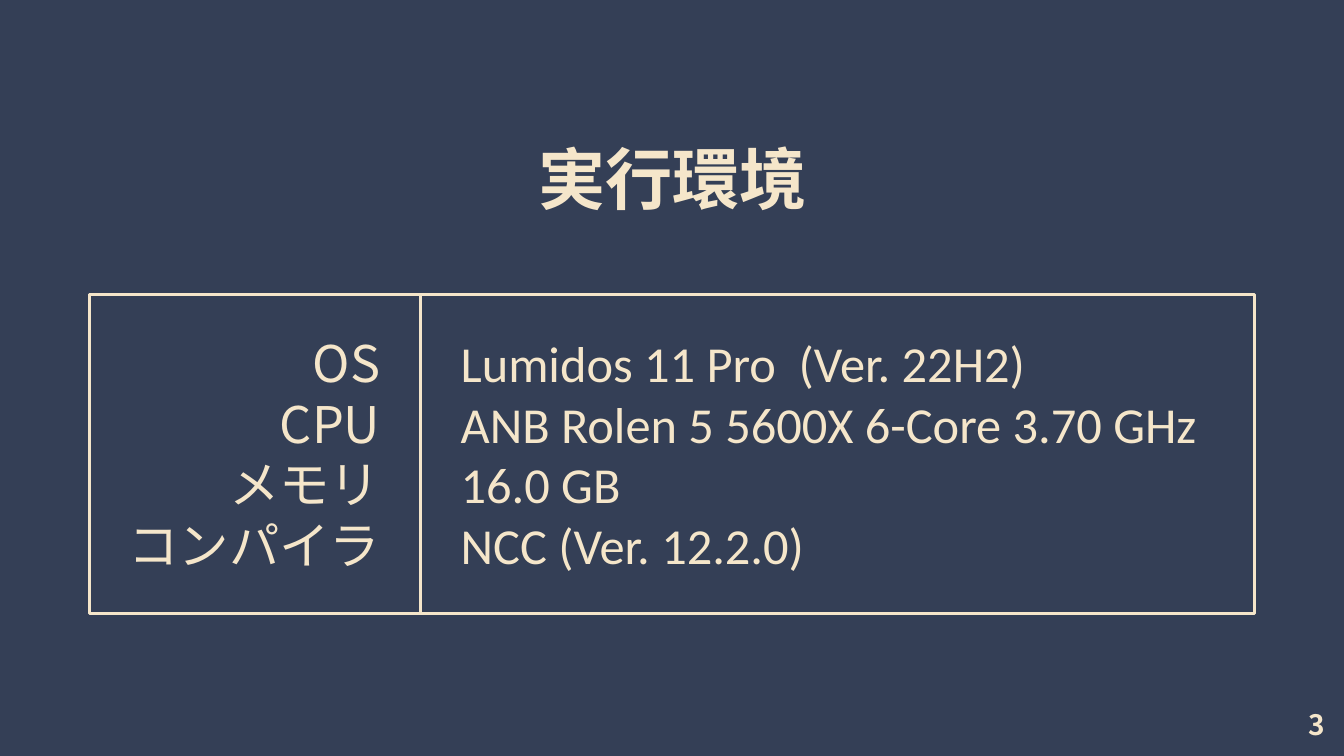
from pptx import Presentation
from pptx.dml.color import RGBColor
from pptx.enum import shapes, text
from pptx.util import Inches, Pt

NAVY = RGBColor(0x34, 0x3F, 0x56)
CREAM = RGBColor(0xF5, 0xE6, 0xCA)
JP_FONT = "Noto Sans CJK JP"
LATIN_FONT = "Calibri"
LINE_RATIO = 1.2

ENVIRONMENT = [
    ("OS", "Lumidos 11 Pro  (Ver. 22H2)"),
    ("CPU", "ANB Rolen 5 5600X 6-Core 3.70 GHz"),
    ("メモリ", "16.0 GB"),
    ("コンパイラ", "NCC (Ver. 12.2.0)"),
]


def add_text(parent, box, lines, size, font=JP_FONT, bold=False,
             align=text.PP_ALIGN.LEFT):
    """Add one paragraph per line, in a box of (left, top, width, height) inches."""
    tf = parent.add_textbox(*map(Inches, box)).text_frame
    tf.word_wrap = True
    for i, line in enumerate(lines):
        p = tf.paragraphs[0] if i == 0 else tf.add_paragraph()
        p.text = line
        p.alignment = align
        p.line_spacing = Pt(size * LINE_RATIO)
        p.font.name = font
        p.font.size = Pt(size)
        p.font.bold = bold
        p.font.color.rgb = CREAM
    return tf


def add_frame(parent, box):
    sp = parent.add_shape(shapes.MSO_SHAPE.RECTANGLE, *map(Inches, box))
    sp.shadow.inherit = False
    sp.fill.background()
    sp.line.color.rgb = CREAM
    sp.line.width = Pt(2.25)


def add_title(slide, box, title):
    tf = add_text(slide.shapes, box, [title], 48, bold=True,
                  align=text.PP_ALIGN.CENTER)
    tf.vertical_anchor = text.MSO_ANCHOR.BOTTOM
    tf.margin_bottom = 0
    tf.paragraphs[0].line_spacing = 0.9


def add_environment(slide, box, label_width):
    """Two framed columns: labels on the left, values on the right."""
    left, top, width, height = box
    divider = left + label_width
    labels, values = zip(*ENVIRONMENT)
    parts = slide.shapes.add_group_shape().shapes
    add_frame(parts, (left, top, label_width, height))
    add_frame(parts, (divider, top, width - label_width, height))
    text_top, text_height = top + 0.33, height - 0.65
    add_text(parts, (left + 0.25, text_top, label_width - 0.55, text_height),
             labels, 36, align=text.PP_ALIGN.RIGHT)
    add_text(parts, (divider + 0.3, text_top, width - label_width - 0.52, text_height),
             values, 36, font=LATIN_FONT)


def main():
    prs = Presentation()
    prs.slide_width, prs.slide_height = Inches(13.33), Inches(7.5)
    slide = prs.slides.add_slide(prs.slide_layouts[6])
    slide.background.fill.solid()
    slide.background.fill.fore_color.rgb = NAVY

    add_title(slide, (4.38, 0.41, 4.58, 1.76), "実行環境")
    add_environment(slide, (0.89, 2.92, 11.55, 3.17), label_width=3.28)
    add_text(slide.shapes, (12.88, 6.97, 0.46, 0.44), ["3"], 20, bold=True)
    prs.save("out.pptx")


if __name__ == "__main__":
    main()
